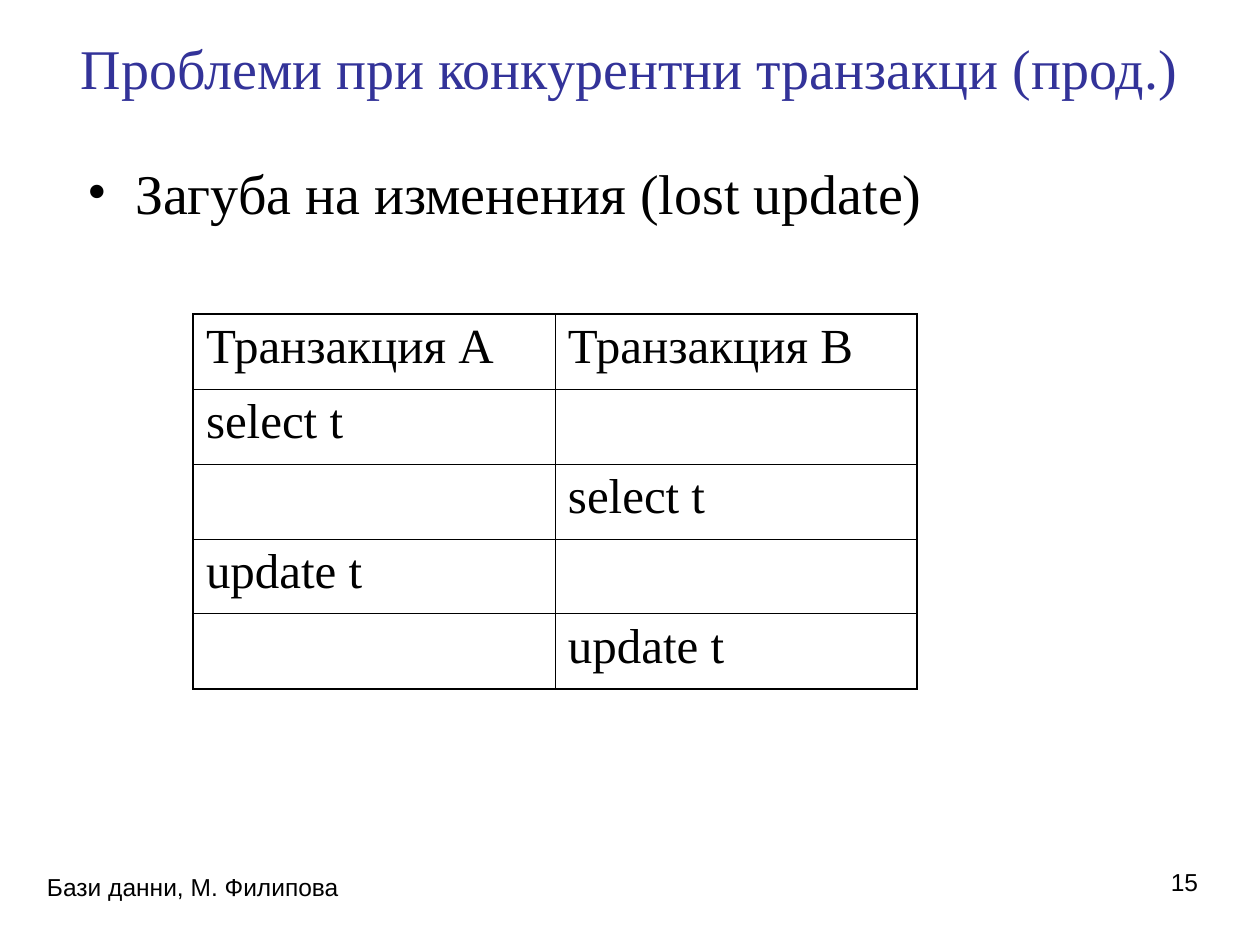
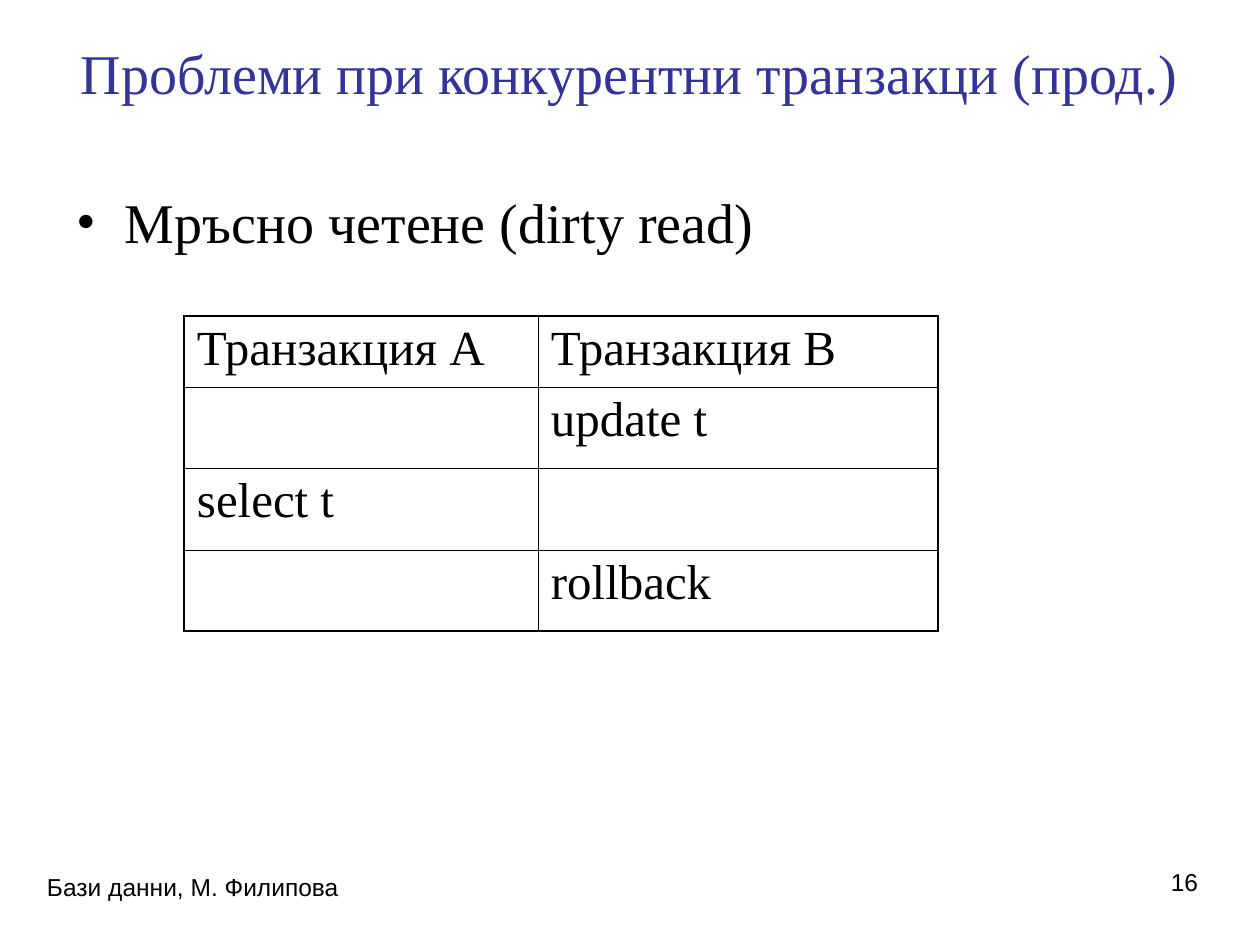
from lxml import etree
from pptx import Presentation
from pptx.dml.color import RGBColor
from pptx.enum.text import MSO_ANCHOR, PP_ALIGN
from pptx.oxml.ns import qn
from pptx.util import Emu, Pt

LEFT, CENTER, RIGHT = PP_ALIGN.LEFT, PP_ALIGN.CENTER, PP_ALIGN.RIGHT
TOP, MIDDLE = MSO_ANCHOR.TOP, MSO_ANCHOR.MIDDLE

# Content
TITLE = "Проблеми при конкурентни транзакци (прод.)"
FOOTER = "Бази данни, М. Филипова"
HEADER = ("Транзакция А", "Транзакция В")
SLIDES = [
    {"number": 15, "title_h": 58, "problem": "Загуба на изменения (lost update)",
     "body": (74, 145, 1152, 699), "table_at": (193, 314),
     "cols": (362, 362), "rows": (75,) * 5,
     "steps": [("select t", ""), ("", "select t"),
               ("update t", ""), ("", "update t")]},
    {"number": 16, "title_h": 68, "problem": "Мръсно четене (dirty read)",
     "body": (64, 175, 1160, 669), "table_at": (184, 316),
     "cols": (354, 400), "rows": (71, 81, 82, 81),
     "steps": [("", "update t"), ("select t", ""), ("", "rollback")]},
]

# Shared look
PX_PER_INCH = 126
BLACK, WHITE, INDIGO = "000000", "FFFFFF", "333399"
SERIF, SANS = "Times New Roman", "Arial"
INSET_X, INSET_Y = 13, 6
BULLET_INDENT = 48
OUTER_PT, INNER_PT = 1.08, 0.45
TITLE_FONT = {"name": SERIF, "size": Pt(32), "color": INDIGO}
BODY_FONT = {"name": SERIF, "size": Pt(32), "color": BLACK}
CELL_FONT = {"name": SERIF, "size": Pt(28), "color": BLACK}
FOOTER_FONT = {"name": SANS, "size": Pt(14), "color": BLACK}


def px(n):
    return Emu(round(n * 914400 / PX_PER_INCH))


def rgb(color):
    return RGBColor.from_string(color)


def write(p, text, font):
    r = p.add_run()
    r.text = text
    for key, value in font.items():
        if key == "color":
            r.font.color.rgb = rgb(value)
        else:
            setattr(r.font, key, value)


def set_insets(target, top=INSET_Y):
    insets = {"margin_left": INSET_X, "margin_right": INSET_X,
              "margin_top": top, "margin_bottom": INSET_Y}
    for key, value in insets.items():
        setattr(target, key, px(value))


def add_text(s, box, text, font, align=LEFT, anchor=TOP, top=INSET_Y):
    tf = s.shapes.add_textbox(*map(px, box)).text_frame
    tf.word_wrap, tf.vertical_anchor = True, anchor
    set_insets(tf, top)
    p = tf.paragraphs[0]
    p.alignment = align
    write(p, text, font)
    return p


def add_bullet(p):
    pPr = p._p.get_or_add_pPr()
    pPr.set("marL", str(px(BULLET_INDENT)))
    pPr.set("indent", str(-px(BULLET_INDENT)))
    etree.SubElement(pPr, qn("a:buFont"), typeface=SERIF)
    etree.SubElement(pPr, qn("a:buChar"), char="•")


def set_borders(cell, widths):
    tcPr = cell._tc.get_or_add_tcPr()
    for side, width in widths.items():
        ln = etree.SubElement(tcPr, qn("a:ln" + side), w=str(Pt(width)))
        fill = etree.SubElement(ln, qn("a:solidFill"))
        etree.SubElement(fill, qn("a:srgbClr"), val=BLACK)


def add_schedule(s, at, cols, rows, steps):
    size = (sum(cols), sum(rows))
    table = s.shapes.add_table(len(rows), len(cols), *map(px, at + size)).table
    table.first_row = table.horz_banding = False
    for col, width in zip(table.columns, cols):
        col.width = px(width)
    for row, height in zip(table.rows, rows):
        row.height = px(height)
    for i, texts in enumerate([HEADER] + steps):
        for j, text in enumerate(texts):
            cell = table.cell(i, j)
            # Heavier line only on the outside edges
            on_edge = {"L": j == 0, "R": j == len(cols) - 1,
                       "T": i == 0, "B": i == len(rows) - 1}
            set_borders(cell, {side: OUTER_PT if edge else INNER_PT
                               for side, edge in on_edge.items()})
            cell.fill.solid()
            cell.fill.fore_color.rgb = rgb(WHITE)
            set_insets(cell)
            if text:
                write(cell.text_frame.paragraphs[0], text, CELL_FONT)


def add_slide(prs, item):
    s = prs.slides.add_slide(prs.slide_layouts[6])
    add_text(s, (34, 38, 1191, item["title_h"]), TITLE, TITLE_FONT, CENTER, MIDDLE)
    add_bullet(add_text(s, item["body"], item["problem"], BODY_FONT, top=13))
    add_schedule(s, item["table_at"], item["cols"], item["rows"], item["steps"])
    add_text(s, (34, 866, 399, 66), FOOTER, FOOTER_FONT)
    add_text(s, (917, 861, 294, 66), str(item["number"]), FOOTER_FONT, RIGHT)


def main():
    prs = Presentation()
    prs.slide_width, prs.slide_height = px(1260), px(945)
    for item in SLIDES:
        add_slide(prs, item)
    prs.save("out.pptx")


if __name__ == "__main__":
    main()
